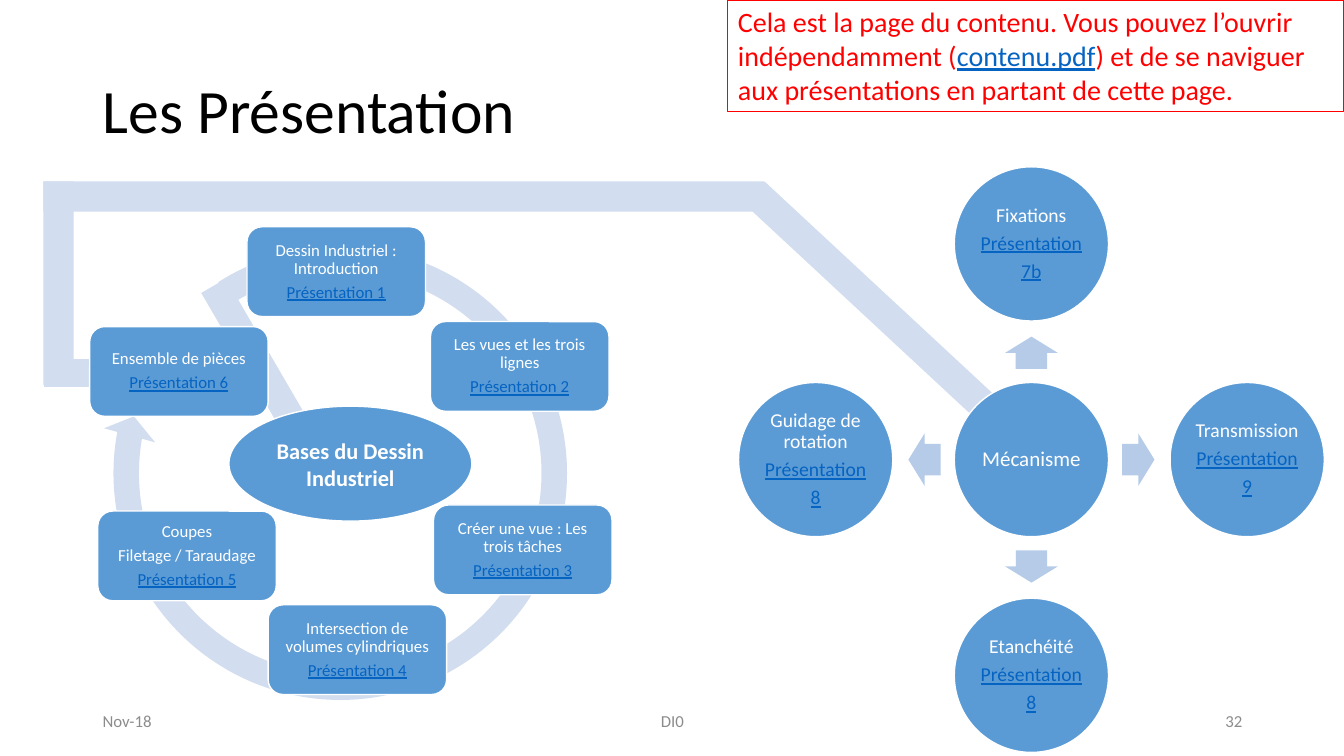
from pptx import Presentation
from pptx.dml.color import RGBColor
from pptx.enum.shapes import MSO_SHAPE
from pptx.enum.text import MSO_ANCHOR, MSO_AUTO_SIZE, PP_ALIGN
from pptx.util import Inches, Pt

BLUE, BAND, ARROW = "5B9BD5", "D2DEEF", "B5CBE7"
WHITE, LINK, RED, GREY = "FFFFFF", "0563C1", "FF0000", "8C8C8C"
HUB_X, HUB_Y, DIAMETER = 10.23, 4.56, 1.53
CIRCLE_REACH, ARROW_REACH = 2.14, 1.06

BANDS_BEHIND = [
    (7.02, 2.94, 3.46, 42.9, None),
    (0.43, 3.55, 0.97, 180, WHITE),
    (1.48, 3.78, 2.55, 59.8, WHITE),
]
BANDS_IN_FRONT = [(-0.43, 2.66, 2.02, 270, None), (0.43, 1.8, 7.15, 0, None)]
STEPS = [
    (2.45, 2.25, ["Dessin Industriel : Introduction"]),
    (4.27, 3.19, ["Les vues et les trois lignes"]),
    (4.3, 5.01, ["Créer une vue : Les trois tâches"]),
    (2.66, 6, ["Intersection de volumes cylindriques"]),
    (0.97, 5.07, ["Coupes", "Filetage / Taraudage"]),
    (0.89, 3.24, ["Ensemble de pièces"]),
]
BRANCHES = [
    (0, -1, 270, "Fixations", "7b"),
    (1, 0, 0, "Transmission", "9"),
    (0, 1, 90, "Etanchéité", "8"),
    (-1, 0, 180, "Guidage de rotation", "8"),
]
FOOTERS = [
    (0.92, 3, "Nov-18", PP_ALIGN.LEFT),
    (4.42, 4.5, "DI0", PP_ALIGN.CENTER),
    (9.42, 3, "32", PP_ALIGN.RIGHT),
]


def colour(value):
    return RGBColor.from_string(value)


def add_span(para, text, size, ink, **formats):
    span = para.add_run()
    span.text = text
    for name, value in {"name": "Calibri", "size": Pt(size), **formats}.items():
        setattr(span.font, name, value)
    span.font.color.rgb = colour(ink)


def set_frame(shape, inset=None, anchor=MSO_ANCHOR.MIDDLE):
    frame = shape.text_frame
    formats = {"word_wrap": True, "auto_size": MSO_AUTO_SIZE.NONE, "vertical_anchor": anchor}
    if inset is not None:
        for side in ("left", "top", "right", "bottom"):
            formats[f"margin_{side}"] = Inches(inset)
    for name, value in formats.items():
        setattr(frame, name, value)
    return frame


def add_figure(page, kind, left, top, width, height, fill, line=None, rotation=0, adjustments=()):
    shape = page.shapes.add_shape(
        kind, Inches(left), Inches(top), Inches(width), Inches(height))
    shape.shadow.inherit = False
    shape.rotation = rotation
    for index, value in enumerate(adjustments):
        shape.adjustments[index] = value
    shape.fill.solid()
    shape.fill.fore_color.rgb = colour(fill)
    if line:
        shape.line.color.rgb = colour(line)
        shape.line.width = Pt(1)
    else:
        shape.line.fill.background()
    return shape


def add_bands(page, bands):
    for left, top, width, rotation, line in bands:
        add_figure(page, MSO_SHAPE.RECTANGLE, left, top, width, 0.3, BAND, line, rotation)


def write_label(shape, inset, size, names, links=()):
    frame = set_frame(shape, inset)
    lines = [(name, WHITE, False) for name in names] + [(link, LINK, True) for link in links]
    for index, (text, ink, underline) in enumerate(lines):
        para = frame.add_paragraph() if index else frame.paragraphs[0]
        formats = {"alignment": PP_ALIGN.CENTER, "line_spacing": 0.9,
                   "space_after": Pt(round(size * 0.35, 1))}
        for name, value in formats.items():
            setattr(para, name, value)
        add_span(para, text, size, ink, underline=underline)


def add_title(page):
    title = page.shapes.title
    place = {"left": 0.92, "top": 0.4, "width": 11.5, "height": 1.45}
    for name, value in place.items():
        setattr(title, name, Inches(value))
    para = set_frame(title).paragraphs[0]
    para.alignment = PP_ALIGN.LEFT
    para.line_spacing = 0.9
    add_span(para, "Les Présentation", 44, "000000")


def add_cycle(page):
    add_figure(page, MSO_SHAPE.CIRCULAR_ARROW, 0.99, 2.31, 4.77, 4.77, BAND,
               rotation=312.4, adjustments=(0.053, 3.126, 142.684, 171.035, 0.055))
    for number, (left, top, names) in enumerate(STEPS, 1):
        step = add_figure(page, MSO_SHAPE.ROUNDED_RECTANGLE, left, top, 1.77, 0.89, BLUE, WHITE)
        write_label(step, 0.05, 12, names, [f"Présentation {number}"])


def add_cycle_centre(page):
    centre = add_figure(page, MSO_SHAPE.OVAL, 2.27, 4.03, 2.41, 1.14, BLUE, WHITE)
    para = set_frame(centre).paragraphs[0]
    para.alignment = PP_ALIGN.CENTER
    add_span(para, "Bases du Dessin Industriel", 16, WHITE, bold=True)


def add_circle(page, x, y, size, name, links=()):
    circle = add_figure(page, MSO_SHAPE.OVAL, x - DIAMETER / 2, y - DIAMETER / 2,
                        DIAMETER, DIAMETER, BLUE, WHITE)
    write_label(circle, 0.02, size, [name], links)


def add_mechanism(page):
    add_circle(page, HUB_X, HUB_Y, 15, "Mécanisme")
    for across, down, rotation, name, number in BRANCHES:
        add_figure(page, MSO_SHAPE.RIGHT_ARROW,
                   HUB_X + across * ARROW_REACH - 0.16, HUB_Y + down * ARROW_REACH - 0.26,
                   0.32, 0.52, ARROW, rotation=rotation, adjustments=(0.6, 0.5))
        add_circle(page, HUB_X + across * CIRCLE_REACH, HUB_Y + down * CIRCLE_REACH,
                   14, name, ["Présentation", number])


def add_text_box(page, left, top, width, height):
    return page.shapes.add_textbox(Inches(left), Inches(top), Inches(width), Inches(height))


def add_footers(page):
    for left, width, text, alignment in FOOTERS:
        para = set_frame(add_text_box(page, left, 6.95, width, 0.4)).paragraphs[0]
        para.alignment = alignment
        add_span(para, text, 12, GREY)


def add_notice(page):
    box = add_text_box(page, 7.22, 0, 6.11, 1.11)
    box.line.color.rgb = colour(RED)
    box.line.width = Pt(0.75)
    para = set_frame(box, anchor=MSO_ANCHOR.TOP).paragraphs[0]
    add_span(para, "Cela est la page du contenu. Vous pouvez l’ouvrir indépendamment (", 20, RED)
    add_span(para, "contenu.pdf", 20, LINK, underline=True)
    add_span(para, ") et de se naviguer aux présentations en partant de cette page.", 20, RED)


def main():
    deck = Presentation()
    deck.slide_width, deck.slide_height = Inches(13.33), Inches(7.5)
    page = deck.slides.add_slide(deck.slide_layouts[5])
    add_bands(page, BANDS_BEHIND)
    add_title(page)
    add_cycle(page)
    add_footers(page)
    add_cycle_centre(page)
    add_mechanism(page)
    add_bands(page, BANDS_IN_FRONT)
    add_notice(page)
    deck.save("out.pptx")


if __name__ == "__main__":
    main()
